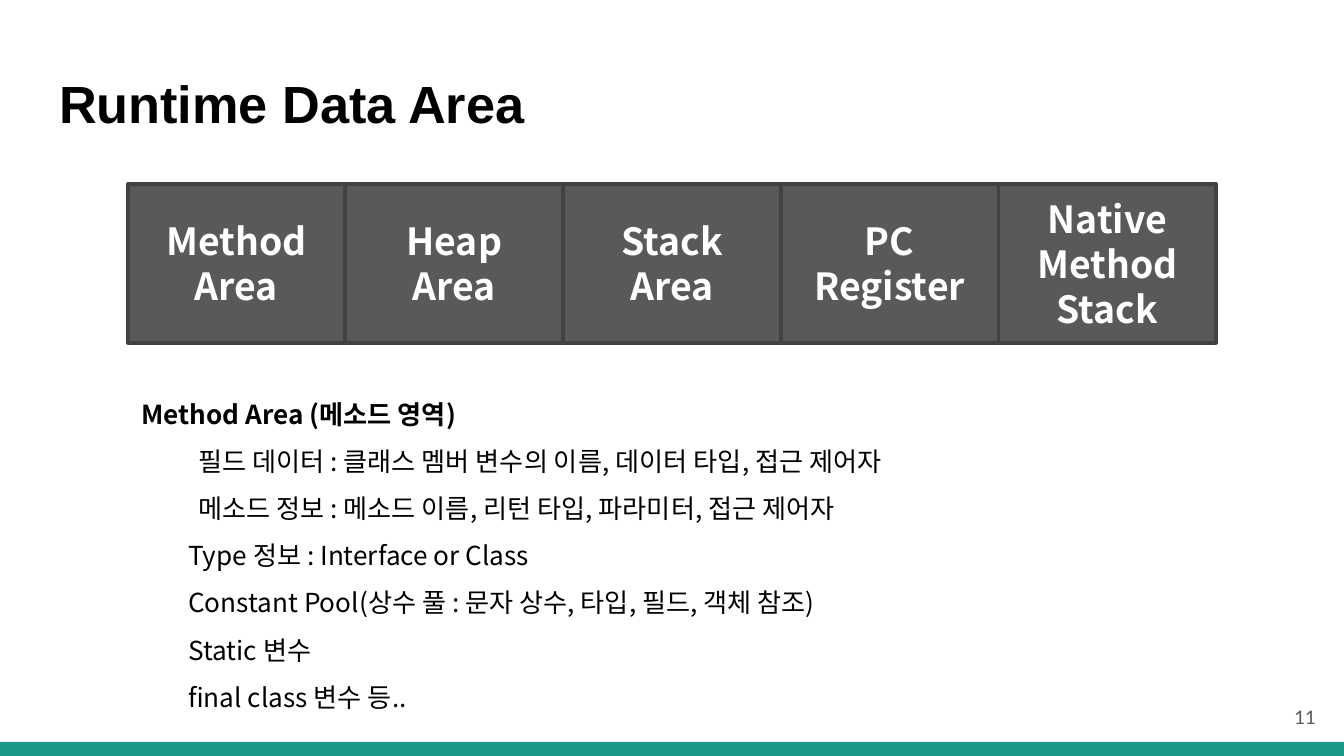
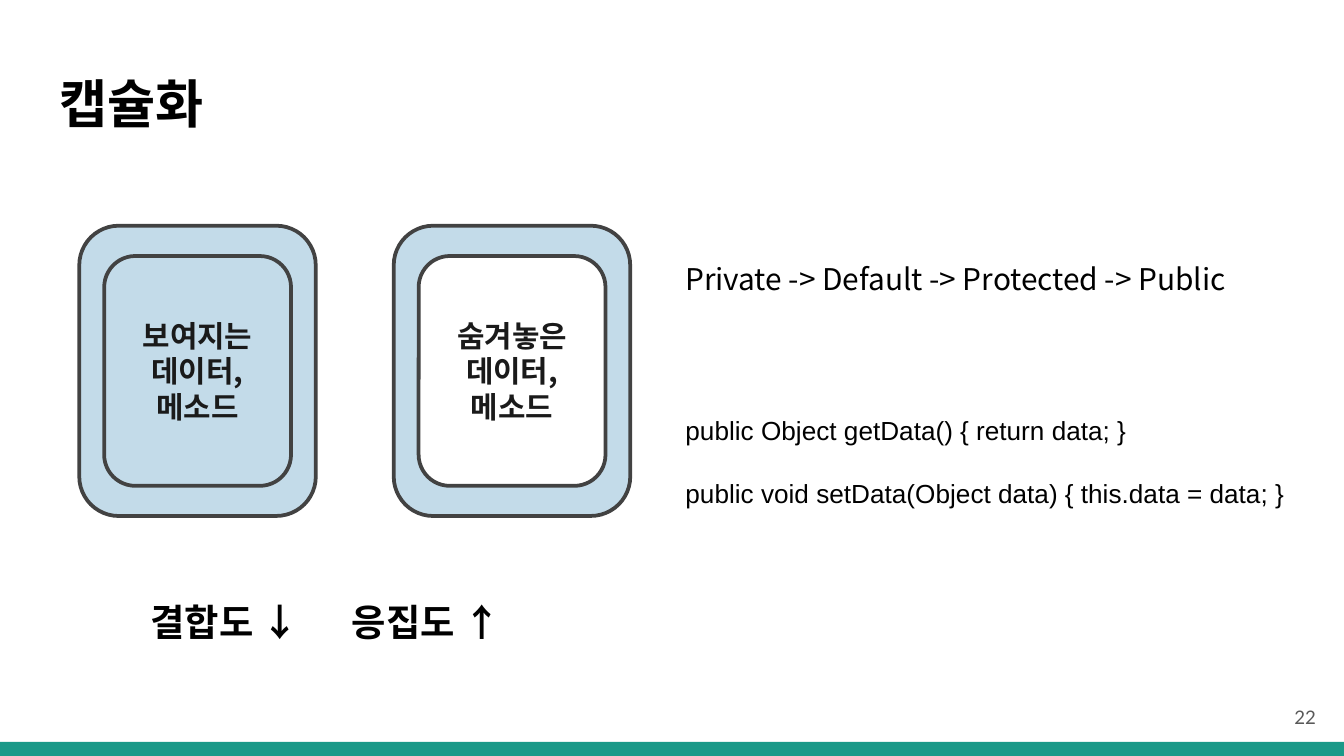
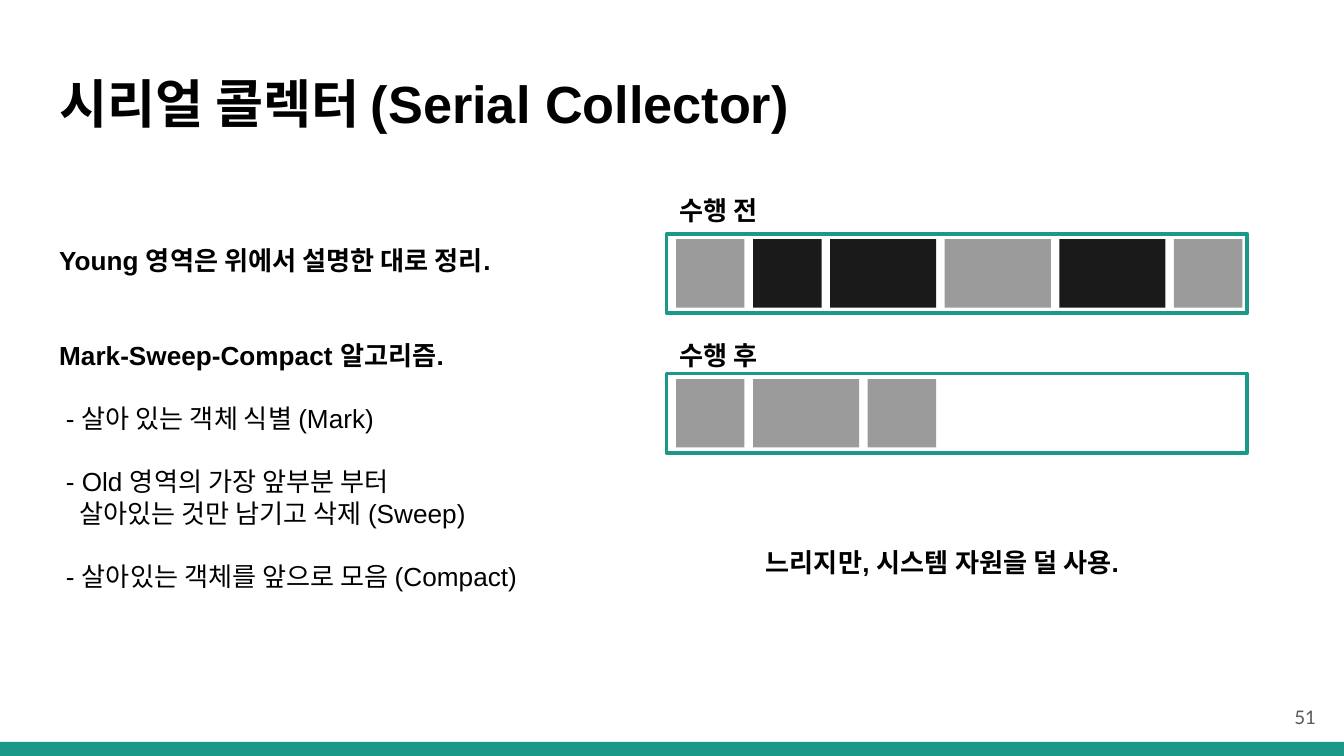
from collections import namedtuple

from lxml import etree
from pptx import Presentation
from pptx import util as u
from pptx.dml.color import RGBColor
from pptx.enum import shapes, text
from pptx.oxml.ns import qn

CELL = 0.1  # inches: the grid has 100 columns and 56.25 rows
COLUMNS, ROWS = 100, 56.25
Box = namedtuple("Box", "col row width height")

ARIAL, LATO, NOTO = "Arial", "Lato", "Noto Sans CJK KR"
BLACK, WHITE, INK = "000000", "FFFFFF", "1A1A1A"
TEAL, SKY = "1A9988", "C3DBE9"
SLATE, EDGE, GRAY = "595959", "424242", "9B9B9B"
LEFT, CENTER, RIGHT = text.PP_ALIGN.LEFT, text.PP_ALIGN.CENTER, text.PP_ALIGN.RIGHT
TOP, MIDDLE = text.MSO_ANCHOR.TOP, text.MSO_ANCHOR.MIDDLE
RECT = shapes.MSO_SHAPE.RECTANGLE
ROUND = shapes.MSO_SHAPE.ROUNDED_RECTANGLE


def cells(count):
    """Turn grid cells into a length."""
    return u.Inches(count * CELL)


def paint(color_format, color):
    """Set a fill's or font's colour from a hex string."""
    color_format.rgb = RGBColor.from_string(color)


def place(item, box):
    """Move a placeholder to a box."""
    item.left, item.top, item.width, item.height = map(cells, box)


def style(paragraph, size, font=ARIAL, color=BLACK, bold=False, align=LEFT,
          indent=0, before=0, spacing=1.0):
    """Format one paragraph, without a bullet and with a Korean font."""
    paragraph.alignment = align
    paragraph.space_before = u.Pt(before)
    paragraph.line_spacing = spacing
    face = paragraph.font
    face.name, face.size, face.bold = font, u.Pt(size), bold
    face.fill.solid()
    paint(face.fill.fore_color, color)
    for run in paragraph.runs:
        run.font.name = font
        etree.SubElement(run.font._element, qn("a:ea"), typeface=NOTO)
    props = paragraph._p.get_or_add_pPr()
    props.set("marL", str(cells(indent)))
    props.set("indent", "0")
    bullet = etree.Element(qn("a:buNone"))
    props.find(qn("a:defRPr")).addprevious(bullet)


def write(frame, lines, size, anchor=TOP, margin=0.05, **look):
    """Fill a text frame; a line is a string or a (string, look) pair."""
    frame.word_wrap = True
    frame.auto_size = text.MSO_AUTO_SIZE.NONE
    frame.vertical_anchor = anchor
    frame.margin_left = frame.margin_right = u.Inches(0.1)
    frame.margin_top = frame.margin_bottom = u.Inches(margin)
    for number, line in enumerate(lines):
        words, own = (line, {}) if isinstance(line, str) else line
        paragraph = frame.paragraphs[0] if number == 0 else frame.add_paragraph()
        paragraph.text = words
        style(paragraph, size, **{**look, **own})


def label(slide, box, lines, size, **look):
    """Add a text box."""
    frame = slide.shapes.add_textbox(*map(cells, box)).text_frame
    write(frame, lines, size, **look)
    return frame


def block(slide, box, fill, edge=None, preset=RECT):
    """Add a flat filled shape, outlined if an edge colour is given."""
    shape = slide.shapes.add_shape(preset, *map(cells, box))
    shape.shadow.inherit = False
    shape.fill.solid()
    paint(shape.fill.fore_color, fill)
    if edge:
        shape.line.width = u.Pt(2)
        paint(shape.line.color, edge)
    else:
        shape.line.fill.background()
    return shape


def add_page(deck, title, number):
    """Add a slide with the shared title, bottom band and page number."""
    slide = deck.slides.add_slide(deck.slide_layouts[1])
    block(slide, Box(0, 55.2, COLUMNS, ROWS - 55.2), TEAL)
    place(slide.shapes.title, Box(3.4, 4.3, 93.2, 6.8))
    write(slide.shapes.title.text_frame, [title], 28, margin=0.1, bold=True)
    label(slide, Box(92.9, 51.2, 6, 4.3), [number], 10, font=LATO,
          color=SLATE, align=RIGHT, anchor=MIDDLE, margin=0.1)
    return slide


def fill_body(slide, box, lines, size, **look):
    """Move and fill the body placeholder."""
    body = slide.placeholders[1]
    place(body, box)
    write(body.text_frame, lines, size, **look)
    body.text_frame.margin_right = 0


def memory_areas(slide, box, names):
    """Draw equal adjoining blocks, one for each memory area."""
    width = box.width / len(names)
    for number, name in enumerate(names):
        area = block(slide, box._replace(col=box.col + number * width, width=width),
                     SLATE, EDGE)
        write(area.text_frame, name.split(), 20, font=NOTO, color=WHITE,
              bold=True, align=CENTER, anchor=MIDDLE)


def capsule(slide, box, core_fill, words):
    """Draw a rounded shell around a captioned core."""
    block(slide, box, SKY, EDGE, ROUND)
    side, end = 1.85, 2.25
    core = block(slide, Box(box.col + side, box.row + end, box.width - 2 * side,
                            box.height - 2 * end), core_fill, EDGE, ROUND)
    write(core.text_frame, [words], 16, font=NOTO, color=INK, bold=True,
          align=CENTER, anchor=MIDDLE)


def heap_bar(slide, box, caption, caption_rise, objects):
    """Draw a captioned heap with its objects, given as (width, colour)."""
    block(slide, box, WHITE, TEAL)
    label(slide, Box(box.col, box.row - caption_rise, 8.6, 3.4), [caption], 14,
          bold=True)
    gap, height = 0.63, 5.1
    col = box.col + 0.7
    for width, color in objects:
        block(slide, Box(col, box.row + (box.height - height) / 2, width, height),
              color)
        col += width + gap


def runtime_slide(deck):
    """Runtime data areas and the contents of the method area."""
    slide = add_page(deck, "Runtime Data Area", "11")
    memory_areas(slide, Box(9.5, 13.7, 81, 11.8),
                 ["Method Area", "Heap Area", "Stack Area", "PC Register",
                  "Native Method Stack"])
    korean, latin = {"indent": 4.25}, {"indent": 3.5}
    fill_body(slide, Box(9.5, 28, 64.7, 25.7), [
        ("Method Area (메소드 영역)", {"bold": True}),
        ("필드 데이터 : 클래스 멤버 변수의 이름, 데이터 타입, 접근 제어자", korean),
        ("메소드 정보 : 메소드 이름, 리턴 타입, 파라미터, 접근 제어자", korean),
        ("Type 정보 : Interface or Class", latin),
        ("Constant Pool(상수 풀 : 문자 상수, 타입, 필드, 객체 참조)", latin),
        ("Static 변수", latin),
        ("final class 변수 등..", latin),
    ], 14, font=NOTO, spacing=1.5)


def capsule_slide(deck):
    """Encapsulation: visible and hidden members, access levels, accessors."""
    slide = add_page(deck, "캡슐화", "22")
    members = [(SKY, "보여지는 데이터, 메소드"), (WHITE, "숨겨놓은 데이터, 메소드")]
    for number, (core_fill, words) in enumerate(members):
        capsule(slide, Box(5.9 + number * 23.4, 16.8, 17.6, 21.6), core_fill, words)
    effect = label(slide, Box(10.2, 44.1, 34, 4.4), ["결합도 ↓\t응집도 ↑"], 20,
                   font=NOTO, bold=True)
    props = effect.paragraphs[0]._p.pPr
    stops = etree.Element(qn("a:tabLst"))
    etree.SubElement(stops, qn("a:tab"), pos=str(cells(17.5)), algn="l")
    props.find(qn("a:defRPr")).addprevious(stops)
    label(slide, Box(50, 18.9, 44.4, 3.7),
          ["Private -> Default -> Protected -> Public"], 16, font=NOTO)
    fill_body(slide, Box(50, 30.3, 46.8, 8.1), [
        "public Object getData() { return data; }",
        ("public void setData(Object data) { this.data = data; }", {"before": 17}),
    ], 14)


def collector_slide(deck):
    """Serial collector: its steps and the heap before and after."""
    slide = add_page(deck, "시리얼 콜렉터 (Serial Collector)", "51")
    line = 17
    step = {"indent": 0.5, "before": line}
    fill_body(slide, Box(3.4, 17.7, 40.2, 26.9), [
        ("Young 영역은 위에서 설명한 대로 정리.", {"bold": True}),
        ("Mark-Sweep-Compact 알고리즘.", {"bold": True, "before": 2 * line}),
        ("- 살아 있는 객체 식별 (Mark)", step),
        ("- Old 영역의 가장 앞부분 부터", step),
        ("살아있는 것만 남기고 삭제 (Sweep)", {"indent": 1.5}),
        ("- 살아있는 객체를 앞으로 모음 (Compact)", step),
    ], 14)
    small, large = 5.1, 7.9
    before = [(small, GRAY), (small, INK), (large, INK), (large, GRAY),
              (large, INK), (small, GRAY)]
    after = [item for item in before if item[1] == GRAY]
    heap_bar(slide, Box(49.6, 17.4, 43.2, 5.9), "수행 전", 3.4, before)
    heap_bar(slide, Box(49.6, 27.8, 43.2, 5.9), "수행 후", 3, after)
    label(slide, Box(56, 40.2, 31.3, 3.4), ["느리지만, 시스템 자원을 덜 사용."], 14,
          bold=True)


deck = Presentation()
deck.slide_width, deck.slide_height = cells(COLUMNS), cells(ROWS)
for build in (runtime_slide, capsule_slide, collector_slide):
    build(deck)
deck.save("out.pptx")
